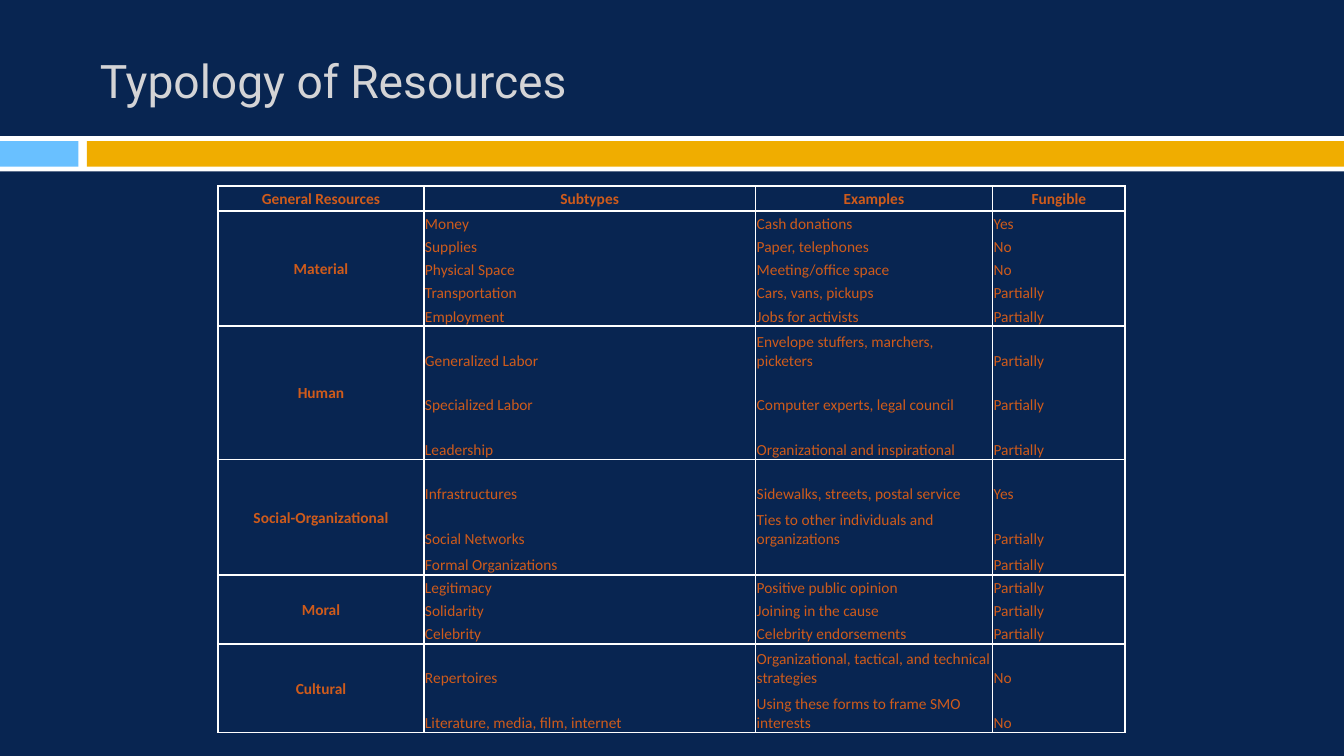
from lxml.etree import SubElement
from pptx import Presentation
from pptx.dml.color import RGBColor
from pptx.enum.shapes import MSO_SHAPE as Preset
from pptx.enum.text import MSO_ANCHOR as Anchor, PP_ALIGN as Align
from pptx.oxml.ns import qn
from pptx.util import Cm, Pt

# Content
heading = "Typology of Resources"
columns = [("General Resources", 5.18), ("Subtypes", 8.36),
           ("Examples", 5.97), ("Fungible", 3.35)]  # label, width in cm
SINGLE, SPACED, DOUBLE, HEADER = 0.58, 0.66, 1.12, 0.63  # row heights in cm
resources = {
    "Material": [
        (SINGLE, "Money", "Cash donations", "Yes"),
        (SINGLE, "Supplies", "Paper, telephones", "No"),
        (SINGLE, "Physical Space", "Meeting/office space", "No"),
        (SINGLE, "Transportation", "Cars, vans, pickups", "Partially"),
        (SINGLE, "Employment", "Jobs for activists", "Partially")],
    "Human": [
        (DOUBLE, "Generalized Labor", "Envelope stuffers, marchers, picketers", "Partially"),
        (DOUBLE, "Specialized Labor", "Computer experts, legal council", "Partially"),
        (DOUBLE, "Leadership", "Organizational and inspirational", "Partially")],
    "Social-Organizational": [
        (DOUBLE, "Infrastructures", "Sidewalks, streets, postal service", "Yes"),
        (DOUBLE, "Social Networks", "Ties to other individuals and organizations", "Partially"),
        (SPACED, "Formal Organizations", "", "Partially")],
    "Moral": [
        (SINGLE, "Legitimacy", "Positive public opinion", "Partially"),
        (SINGLE, "Solidarity", "Joining in the cause", "Partially"),
        (SINGLE, "Celebrity", "Celebrity endorsements", "Partially")],
    "Cultural": [
        (DOUBLE, "Repertoires", "Organizational, tactical, and technical strategies", "No"),
        (DOUBLE, "Literature, media, film, internet",
         "Using these forms to frame SMO interests", "No")],
}
bands = [  # left, top, width, height in cm, colour
    (0, 3.43, 33.87, 0.89, "FFFFFF"),
    (0, 3.56, 1.98, 0.64, "69C0FF"),
    (2.19, 3.56, 31.68, 0.64, "F0AD00"),
]


def paint(target, colour):
    """Give a fill a solid colour."""
    target.solid()
    target.fore_color.rgb = RGBColor.from_string(colour)


def write(paragraph, words, font, size, colour, bold=False):
    run = paragraph.add_run()
    run.text = words
    run.font.name, run.font.size, run.font.bold = font, Pt(size), bold
    paint(run.font.fill, colour)


def border(cell, edges):
    """Draw white lines on the named edges and none on the others."""
    properties = cell._tc.get_or_add_tcPr()
    for edge in "LRTB":
        line = SubElement(properties, qn(f"a:ln{edge}"), w=str(Pt(1.5)))
        if edge in edges:
            solid = SubElement(line, qn("a:solidFill"))
            SubElement(solid, qn("a:srgbClr"), val="FFFFFF")
        else:
            SubElement(line, qn("a:noFill"))


def fill_cell(cell, words, edges="LRTB", label=False):
    cell.margin_left = cell.margin_right = cell.margin_top = Cm(0.03)
    cell.margin_bottom = 0
    cell.vertical_anchor = Anchor.MIDDLE if label else Anchor.BOTTOM
    border(cell, edges)
    cell.fill.background()
    paragraph = cell.text_frame.paragraphs[0]
    paragraph.alignment = Align.CENTER if label else Align.LEFT
    if words:
        write(paragraph, words, "Calibri", 11, "CF5B1B", label)
    else:  # keeps an empty cell from stretching its row
        SubElement(paragraph._p, qn("a:endParaRPr"), sz="1100")


# Slide
deck = Presentation()
deck.slide_width, deck.slide_height = Cm(33.87), Cm(19.05)
slide = deck.slides.add_slide(deck.slide_layouts[5])
paint(slide.background.fill, "082551")

# Colour bands under the title
for left, top, width, height, colour in bands:
    band = slide.shapes.add_shape(Preset.RECTANGLE, Cm(left), Cm(top), Cm(width), Cm(height))
    band.shadow.inherit = False
    paint(band.fill, colour)
    band.line.fill.background()

# Title
title = slide.shapes.title
title.left, title.top, title.width, title.height = Cm(2.26), Cm(0.64), Cm(30.2), Cm(2.74)
title.text_frame.vertical_anchor = Anchor.MIDDLE
title.text_frame.paragraphs[0].alignment = Align.LEFT
write(title.text_frame.paragraphs[0], heading, "Roboto", 33, "D4D4D6")

# Table grid
heights = [HEADER] + [kind[0] for kinds in resources.values() for kind in kinds]
table = slide.shapes.add_table(
    len(heights), len(columns), Cm(5.5), Cm(4.69),
    Cm(sum(width for _, width in columns)), Cm(sum(heights))).table
table.horz_banding = table.first_row = False
for row, height in zip(table.rows, heights):
    row.height = Cm(height)
for index, (label, width) in enumerate(columns):
    table.columns[index].width = Cm(width)
    fill_cell(table.cell(0, index), label, label=True)

# Resource groups, each with one merged label cell
first = 1
for resource, kinds in resources.items():
    last = first + len(kinds) - 1
    table.cell(first, 0).merge(table.cell(last, 0))
    for row, (_, *details) in enumerate(kinds, first):
        edges = "LR" + "T" * (row == first) + "B" * (row == last)
        fill_cell(table.cell(row, 0), resource if row == first else "", label=True)
        for column, detail in enumerate(details, 1):
            fill_cell(table.cell(row, column), detail, edges)
    first = last + 1

deck.save("out.pptx")
